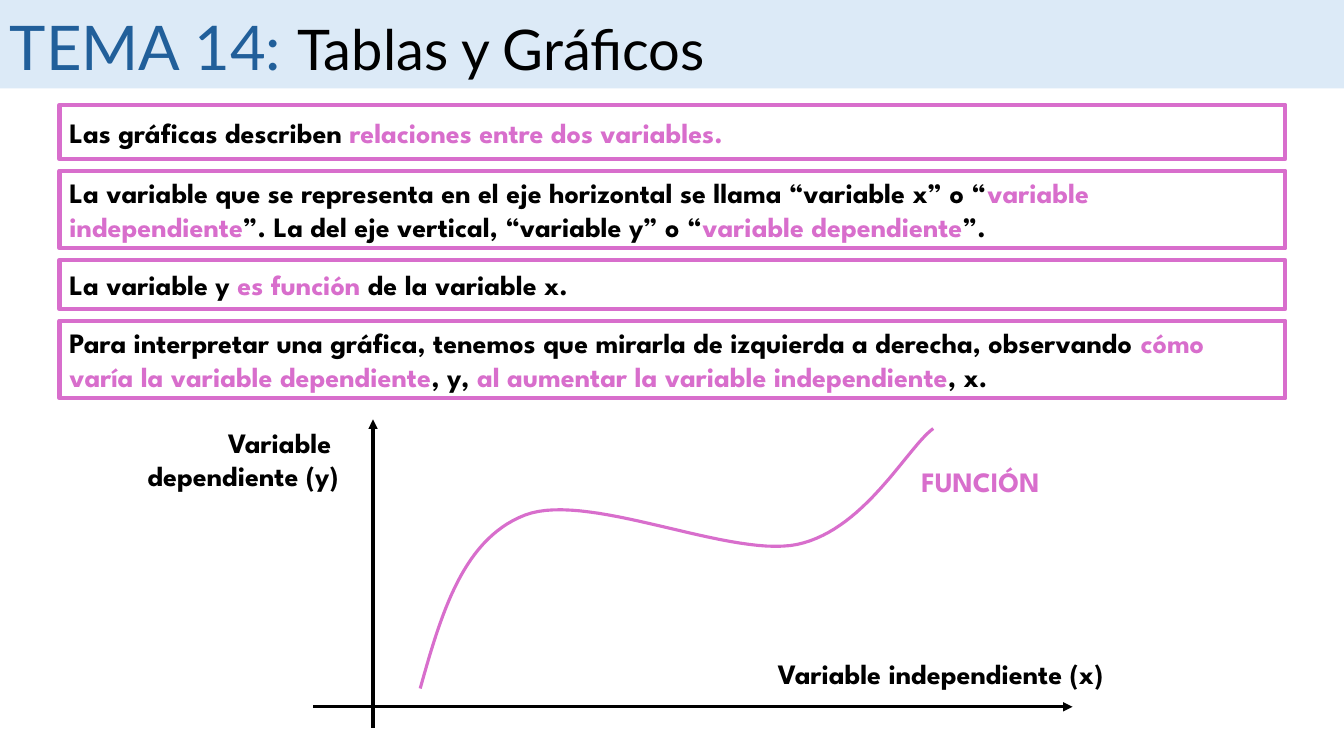
from dataclasses import dataclass

from lxml import etree
from pptx import Presentation
from pptx import util as u
from pptx.dml.color import RGBColor
from pptx.enum import shapes, text
from pptx.oxml.ns import qn
from pptx.util import Cm, Pt

BLACK = RGBColor(0x00, 0x00, 0x00)
PINK = RGBColor(0xD8, 0x6E, 0xCC)
BLUE = RGBColor(0x21, 0x5F, 0x9A)
PALE_BLUE = RGBColor(0xDC, 0xEA, 0xF7)

TITLE_FONT = "Lato"
BODY_FONT = "League Spartan"

FRAME_LEFT, FRAME_WIDTH, FIRST_FRAME_TOP, FRAME_GAP = 1.5, 30.89, 2.64, 0.29
STEPS_PER_BEND = 30

Point = tuple[float, float]


@dataclass(frozen=True)
class Piece:
    """A run of text; the defaults are those of the body text."""
    words: str
    color: RGBColor = BLACK
    size: int = 20
    font: str = BODY_FONT
    bold: bool = True


@dataclass(frozen=True)
class Statement:
    height: float
    pieces: list[Piece]


@dataclass(frozen=True)
class Label:
    left: float
    top: float
    width: float
    height: float
    lines: list[list[Piece]]
    alignment: text.PP_ALIGN = text.PP_ALIGN.LEFT


@dataclass(frozen=True)
class Axis:
    start: Point
    end: Point


STATEMENTS = [
    Statement(1.37, [
        Piece("Las gráficas describen "),
        Piece("relaciones entre dos variables.", PINK),
    ]),
    Statement(1.96, [
        Piece("La variable que se representa en el eje horizontal se llama “variable x” o “"),
        Piece("variable independiente", PINK),
        Piece("”. La del eje vertical, “variable y” o “"),
        Piece("variable dependiente", PINK),
        Piece("”."),
    ]),
    Statement(1.24, [
        Piece("La variable y "),
        Piece("es función ", PINK),
        Piece("de la variable x."),
    ]),
    Statement(1.96, [
        Piece("Para interpretar una gráfica, tenemos que mirarla de izquierda a derecha, observando "),
        Piece("cómo varía la variable dependiente", PINK),
        Piece(", y, "),
        Piece("al aumentar la variable independiente", PINK),
        Piece(", x."),
    ]),
]

LABELS = [
    Label(0, 0.1, 30.1, 2.13, [[
        Piece("TEMA 14: ", BLUE, 44, TITLE_FONT, False),
        Piece("Tablas y Gráficos", BLACK, 40, TITLE_FONT, False),
    ]]),
    Label(19.35, 16.41, 10.24, 1.12, [[Piece("Variable independiente (x)")]]),
    Label(0, 10.59, 8.79, 1.96,
          [[Piece("Variable ")], [Piece("dependiente (y)")]], text.PP_ALIGN.RIGHT),
    Label(21.79, 11.58, 5.84, 1.12, [[Piece("FUNCIÓN", PINK)]], text.PP_ALIGN.CENTER),
]

AXES = [
    Axis((7.9, 17.81), (27.03, 17.81)),
    Axis((9.4, 18.34), (9.4, 10.57)),
]

CURVE_START = (10.59, 17.35)
CURVE_BENDS = [
    ((11.12, 15.47), (11.66, 13.59), (13.23, 12.98)),
    ((14.83, 12.37), (18.39, 14.07), (20.09, 13.72)),
    ((21.79, 13.36), (22.86, 11.28), (23.52, 10.8)),
]


def write_line(paragraph, pieces: list[Piece], alignment: text.PP_ALIGN) -> None:
    paragraph.alignment = alignment
    for piece in pieces:
        run = paragraph.add_run()
        run.text = piece.words
        run.font.name = piece.font
        run.font.size = Pt(piece.size)
        run.font.bold = piece.bold
        run.font.color.rgb = piece.color


def add_banner(slide, width: u.Length) -> None:
    banner = slide.shapes.add_shape(shapes.MSO_SHAPE.RECTANGLE, 0, 0, width, Cm(2.23))
    banner.shadow.inherit = False
    banner.fill.solid()
    banner.fill.fore_color.rgb = PALE_BLUE
    banner.line.fill.background()


def add_statement(slide, statement: Statement, top: float) -> None:
    frame = slide.shapes.add_shape(
        shapes.MSO_SHAPE.RECTANGLE,
        Cm(FRAME_LEFT), Cm(top), Cm(FRAME_WIDTH), Cm(statement.height))
    frame.shadow.inherit = False
    frame.fill.background()
    frame.line.color.rgb = PINK
    frame.line.width = Pt(3)
    frame.text_frame.word_wrap = True
    frame.text_frame.vertical_anchor = text.MSO_ANCHOR.MIDDLE
    write_line(frame.text_frame.paragraphs[0], statement.pieces, text.PP_ALIGN.LEFT)


def add_label(slide, label: Label) -> None:
    box = slide.shapes.add_textbox(
        Cm(label.left), Cm(label.top), Cm(label.width), Cm(label.height))
    frame = box.text_frame
    frame.word_wrap = True
    for index, pieces in enumerate(label.lines):
        paragraph = frame.add_paragraph() if index else frame.paragraphs[0]
        write_line(paragraph, pieces, label.alignment)


def add_axis(slide, axis: Axis) -> None:
    connector = slide.shapes.add_connector(
        shapes.MSO_CONNECTOR.STRAIGHT, *map(Cm, axis.start + axis.end))
    connector.line.color.rgb = BLACK
    connector.line.width = Pt(2.25)
    properties = connector._element.spPr
    etree.SubElement(properties.find(qn("a:ln")), qn("a:tailEnd"), type="triangle")
    etree.SubElement(properties, qn("a:effectLst"))


def bezier_point(corners: tuple[Point, ...], t: float) -> Point:
    weights = ((1 - t) ** 3, 3 * t * (1 - t) ** 2, 3 * t ** 2 * (1 - t), t ** 3)
    x, y = (sum(w * c for w, c in zip(weights, values)) for values in zip(*corners))
    return Cm(x), Cm(y)


def add_function_curve(slide) -> None:
    points = []
    start = CURVE_START
    for bend in CURVE_BENDS:
        points += [bezier_point((start, *bend), step / STEPS_PER_BEND)
                   for step in range(1, STEPS_PER_BEND + 1)]
        start = bend[-1]
    builder = slide.shapes.build_freeform(*map(Cm, CURVE_START))
    builder.add_line_segments(points, close=False)
    curve = builder.convert_to_shape()
    curve.shadow.inherit = False
    curve.fill.background()
    curve.line.color.rgb = PINK
    curve.line.width = Pt(2.25)


def main() -> None:
    presentation = Presentation()
    presentation.slide_width = Cm(33.87)
    presentation.slide_height = Cm(19.05)
    slide = presentation.slides.add_slide(presentation.slide_layouts[6])

    add_banner(slide, presentation.slide_width)
    top = FIRST_FRAME_TOP
    for statement in STATEMENTS:
        add_statement(slide, statement, top)
        top += statement.height + FRAME_GAP
    for axis in AXES:
        add_axis(slide, axis)
    add_function_curve(slide)
    for label in LABELS:
        add_label(slide, label)

    presentation.save("out.pptx")


if __name__ == "__main__":
    main()
